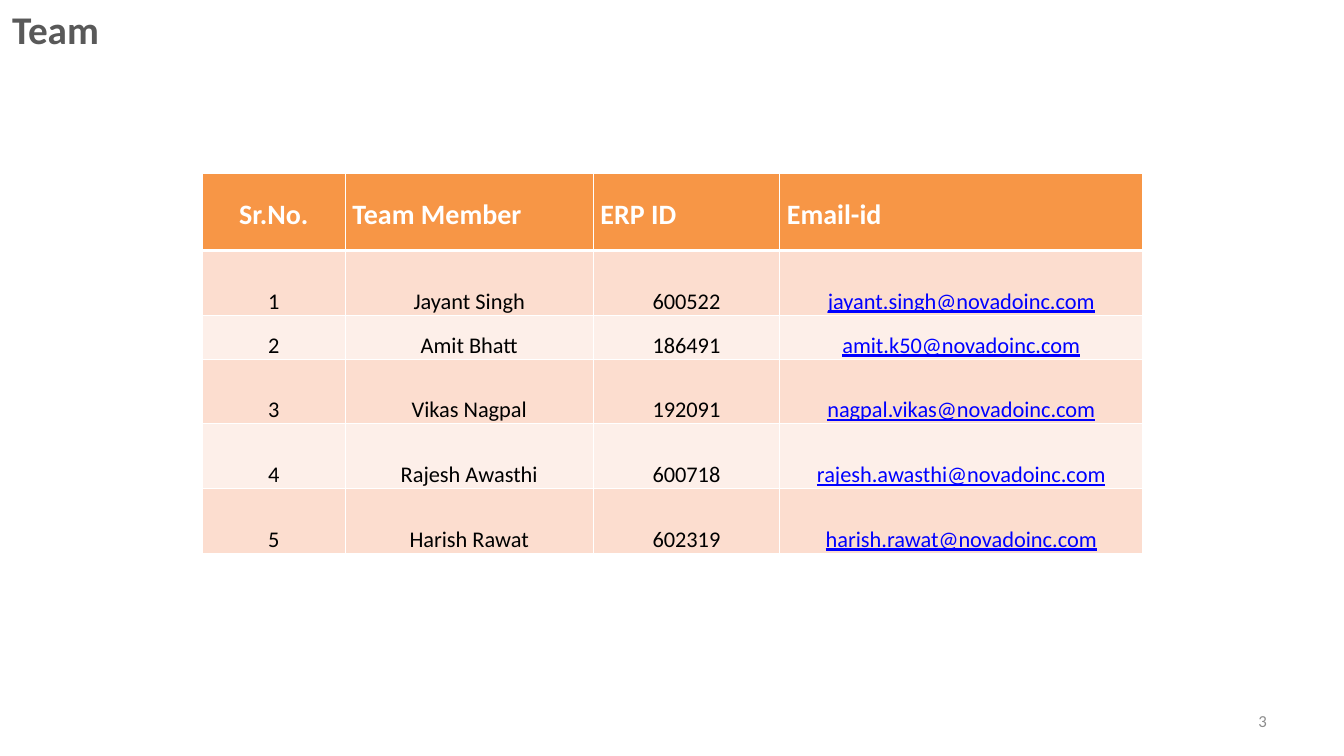
import pptx
import pptx.dml.color
import pptx.enum.text
import pptx.oxml
import pptx.oxml.ns
import pptx.util

Cm, Pt = pptx.util.Cm, pptx.util.Pt
RGB = pptx.dml.color.RGBColor
Align = pptx.enum.text.PP_ALIGN
Anchor = pptx.enum.text.MSO_ANCHOR

HEAD = ("Sr.No.", "Team Member", "ERP ID", "Email-id")
TEAM = [
    ("1", "Jayant Singh", "600522", "jayant.singh@novadoinc.com"),
    ("2", "Amit Bhatt", "186491", "amit.k50@novadoinc.com"),
    ("3", "Vikas Nagpal", "192091", "nagpal.vikas@novadoinc.com"),
    ("4", "Rajesh Awasthi", "600718", "rajesh.awasthi@novadoinc.com"),
    ("5", "Harish Rawat", "602319", "harish.rawat@novadoinc.com"),
]
WIDTHS = (3.6, 6.25, 4.7, 9.15)
HEIGHTS = (1.93, 1.63, 1.11, 1.63, 1.63, 1.63)

WHITE = RGB(0xFF, 0xFF, 0xFF)
BLACK = RGB(0, 0, 0)
GREY = RGB(0x59, 0x59, 0x59)
PALE = RGB(0x8C, 0x8C, 0x8C)
BLUE = RGB(0, 0, 0xFF)
ORANGE = RGB(0xF7, 0x96, 0x46)
BANDS = (RGB(0xFD, 0xEF, 0xE9), RGB(0xFC, 0xDD, 0xCF))


def style(para, size, color, bold=False, align=Align.LEFT):
    """Set the font and alignment of a paragraph."""
    font = para.font
    font.name, font.size, font.bold = "Calibri", Pt(size), bold
    font.color.rgb = color
    para.alignment = align


def place(shape, left, top, width, height):
    """Move and size a shape, in centimetres."""
    shape.left, shape.top = Cm(left), Cm(top)
    shape.width, shape.height = Cm(width), Cm(height)


def edge(cell, top, base):
    """Draw white borders round a cell, with top and base in points."""
    props = cell._tc.get_or_add_tcPr()
    for i, (side, size) in enumerate(zip("LRTB", (1, 1, top, base))):
        props.insert(i, pptx.oxml.parse_xml(
            f'<a:ln{side} {pptx.oxml.ns.nsdecls("a")} w="{Pt(size)}">'
            f'<a:solidFill><a:srgbClr val="{WHITE}"/></a:solidFill></a:ln{side}>'))


def fill(cell, text, row, col):
    """Write and format one table cell."""
    head = row == 0
    mail = not head and col == 3
    cell.text = text
    cell.margin_left = cell.margin_right = Cm(0.18)
    cell.margin_top = cell.margin_bottom = 0
    cell.vertical_anchor = Anchor.MIDDLE if head else Anchor.BOTTOM
    cell.fill.solid()
    cell.fill.fore_color.rgb = ORANGE if head else BANDS[row % 2]
    edge(cell, 3 if row == 1 else 1, 3 if head else 1)
    para = cell.text_frame.paragraphs[0]
    color = WHITE if head else BLUE if mail else BLACK
    align = Align.LEFT if head and col else Align.CENTER
    style(para, 20 if head else 16, color, head, align)
    para.font.underline = mail
    para.line_spacing = 1.15


def main():
    """Build the team slide."""
    deck = pptx.Presentation()
    deck.slide_width, deck.slide_height = Cm(33.87), Cm(19.05)
    slide = deck.slides.add_slide(deck.slide_layouts[5])

    title = slide.shapes.title
    place(title, 0.05, 0, 24.4, 1.45)
    title.text_frame.text = "Team"
    title.text_frame.vertical_anchor = Anchor.TOP
    style(title.text_frame.paragraphs[0], 28, GREY, True)

    frame = slide.shapes.add_table(
        len(TEAM) + 1, len(HEAD), Cm(5.1), Cm(4.38),
        Cm(sum(WIDTHS)), Cm(sum(HEIGHTS)))
    table = frame.table
    table.horz_banding = False
    for col, width in zip(table.columns, WIDTHS):
        col.width = Cm(width)
    for row, height in zip(table.rows, HEIGHTS):
        row.height = Cm(height)
    for r, line in enumerate([HEAD, *TEAM]):
        for c, text in enumerate(line):
            fill(table.cell(r, c), text, r, c)

    page = slide.shapes.add_textbox(Cm(24.28), Cm(17.65), Cm(7.9), Cm(1.02))
    page.text_frame.word_wrap = True
    page.text_frame.vertical_anchor = Anchor.MIDDLE
    page.text_frame.text = "3"
    style(page.text_frame.paragraphs[0], 12, PALE, align=Align.RIGHT)

    deck.save("out.pptx")


if __name__ == "__main__":
    main()
